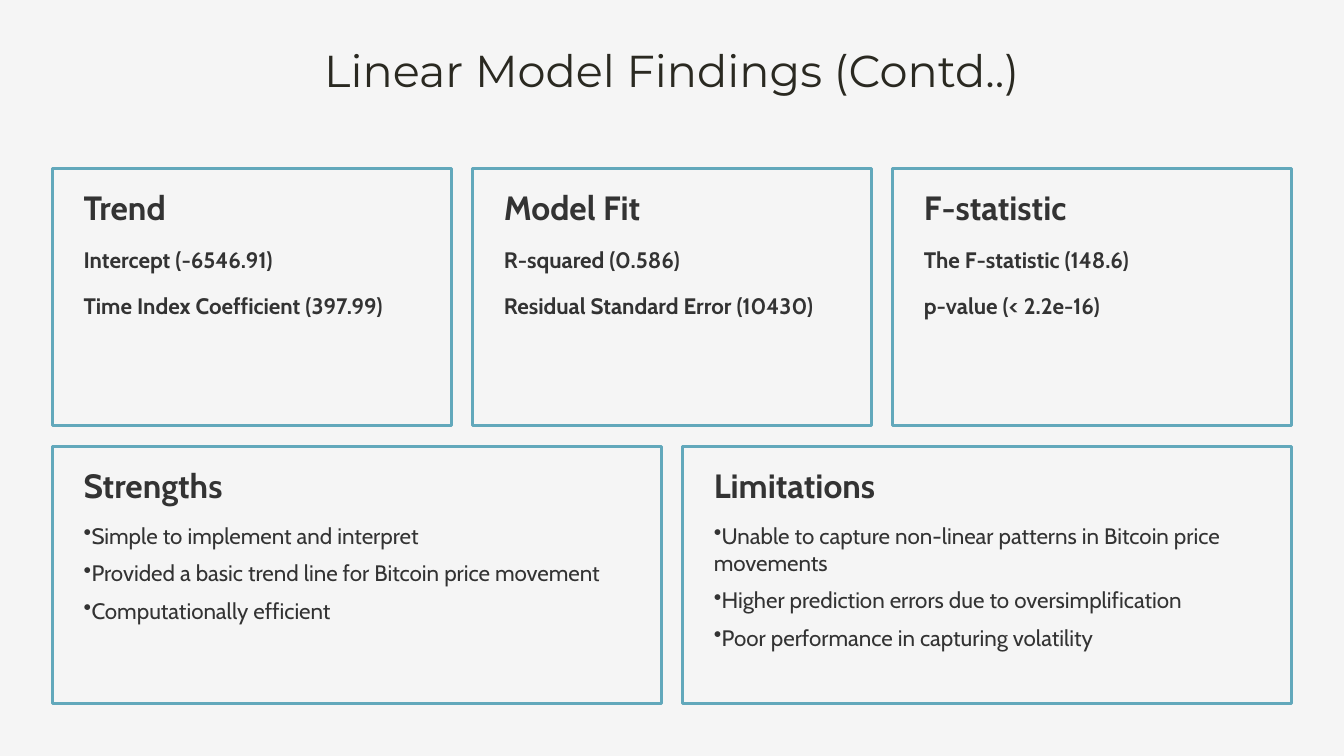
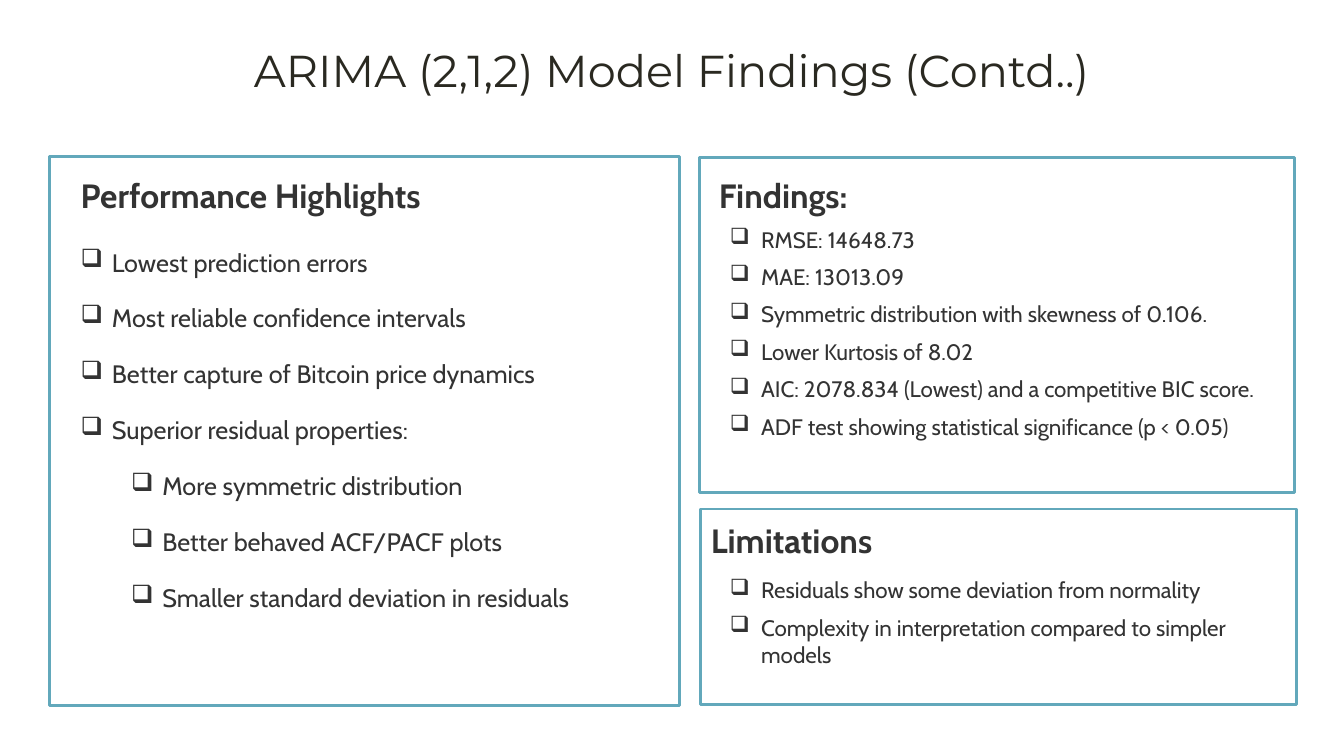
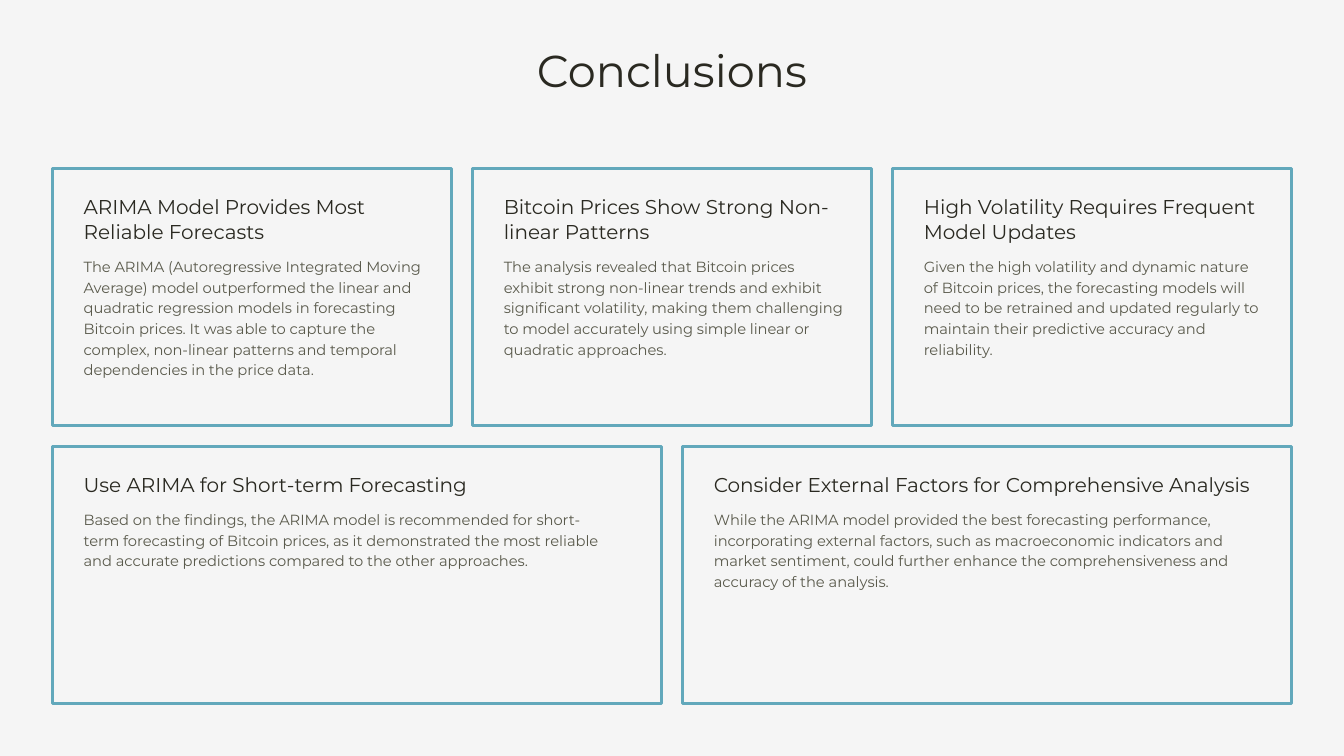
from lxml import etree
from pptx import Presentation
from pptx import util as u
from pptx.dml.color import RGBColor
from pptx.enum import shapes, text
from pptx.oxml import ns

HUES = {"gray": "F5F5F5", "white": "FFFFFF", "edge": "62A8BB",
        "title": "2A2921", "ink": "333333", "soft": "5A5A4C"}

STYLES = {
    "title": ("Montserrat", 31.9, "title", False, u.Pt(40.2), 0, 0),
    "head": ("Cabin", 24, "ink", True, u.Pt(25.7), 0, 0),
    "fact": ("Cabin", 16, "ink", True, u.Pt(21), 11.3, 0),
    "list": ("Cabin", 16, "ink", False, 1.0, 0, 7.5),
    "wide": ("Cabin", 18, "ink", False, 1.5, 0, 7.5),
    "topic": ("Montserrat", 14.3, "title", False, u.Pt(18), 0, 0),
    "prose": ("Montserrat", 10.5, "soft", False, u.Pt(14.7), 0, 0),
}

LEFT, TOP, SPAN, HIGH, GAP, PAD = 0.52, 1.67, 12.29, 2.55, 0.21, 0.31
HANG = 0.31


def grid():
    for row, count in enumerate((3, 2)):
        wide = (SPAN - GAP * (count - 1)) / count
        for col in range(count):
            yield LEFT + col * (wide + GAP), TOP + row * (HIGH + GAP), wide


class Deck:
    def __init__(self):
        self.prs = Presentation()
        self.prs.slide_width = u.Inches(13.33)
        self.prs.slide_height = u.Inches(7.5)
        self.slide = None

    def hue(self, name):
        return RGBColor.from_string(HUES[name])

    def page(self, title, back):
        self.slide = self.prs.slides.add_slide(self.prs.slide_layouts[6])
        fill = self.slide.background.fill
        fill.solid()
        fill.fore_color.rgb = self.hue(back)
        self.label((0, 0.4, 13.33, 0.56), [title], "title",
                   align=text.PP_ALIGN.CENTER)

    def frame(self, *box):
        rect = self.slide.shapes.add_shape(
            shapes.MSO_SHAPE.RECTANGLE, *map(u.Inches, box))
        rect.shadow.inherit = False
        rect.fill.background()
        rect.line.color.rgb = self.hue("edge")
        rect.line.width = u.Pt(2)

    def mark(self, para, sign, hang):
        props = para._p.get_or_add_pPr()
        props.set("marL", str(u.Inches(hang + 0.5 * para.level)))
        props.set("indent", str(-u.Inches(hang)))
        etree.SubElement(props, ns.qn("a:buChar")).set("char", sign)

    def label(self, box, lines, style, sign=None, hang=0, subs=0, align=None):
        font, size, hue, bold, pitch, before, after = STYLES[style]
        frame = self.slide.shapes.add_textbox(*map(u.Inches, box)).text_frame
        frame.word_wrap = True
        frame.margin_left = frame.margin_right = 0
        frame.margin_top = frame.margin_bottom = 0
        for num, line in enumerate(lines):
            para = frame.add_paragraph() if num else frame.paragraphs[0]
            para.text = line
            para.line_spacing = pitch
            para.space_before = u.Pt(before if num else 0)
            para.space_after = u.Pt(after)
            if align is not None:
                para.alignment = align
            if sign:
                para.level = int(num >= len(lines) - subs)
                self.mark(para, sign, hang)
            for run in para.runs:
                run.font.name = font
                run.font.size = u.Pt(size)
                run.font.bold = bold
                run.font.color.rgb = self.hue(hue)

    def save(self):
        self.prs.save("out.pptx")


def linear(deck):
    deck.page("Linear Model Findings (Contd..)", "gray")
    cards = [
        ("Trend", ["Intercept (-6546.91)", "Time Index Coefficient (397.99)"]),
        ("Model Fit", ["R-squared (0.586)", "Residual Standard Error (10430)"]),
        ("F-statistic", ["The F-statistic (148.6)", "p-value (< 2.2e-16)"]),
        ("Strengths", ["Simple to implement and interpret",
                       "Provided a basic trend line for Bitcoin price movement",
                       "Computationally efficient"]),
        ("Limitations", ["Unable to capture non-linear patterns in Bitcoin price movements",
                         "Higher prediction errors due to oversimplification",
                         "Poor performance in capturing volatility"]),
    ]
    for (x, y, wide), (head, lines) in zip(grid(), cards):
        top = y == TOP
        room = 3.78 if top else 6.07
        deck.frame(x, y, wide, HIGH)
        deck.label((x + PAD, y + 0.23, room, 0.36), [head], "head")
        deck.label((x + PAD, y + 0.75, room, 0.29), lines,
                   "fact" if top else "list", sign=None if top else "•")


def arima(deck):
    deck.page("ARIMA (2,1,2) Model Findings (Contd..)", "white")
    cards = [
        ((0.49, 1.55, 6.25, 5.45), "Performance Highlights", (0.8, 1.78, 6.07, 0.36),
         (0.8, 2.3, 6.07, 4.1), "wide", 3,
         ["Lowest prediction errors", "Most reliable confidence intervals",
          "Better capture of Bitcoin price dynamics", "Superior residual properties:",
          "More symmetric distribution", "Better behaved ACF/PACF plots",
          "Smaller standard deviation in residuals"]),
        ((6.94, 1.56, 5.9, 3.33), "Findings:", (7.13, 1.78, 6.07, 0.36),
         (7.24, 2.24, 5.44, 2.55), "list", 0,
         ["RMSE: 14648.73", "MAE: 13013.09",
          "Symmetric distribution with skewness of 0.106.", "Lower Kurtosis of 8.02",
          "AIC: 2078.834 (Lowest) and a competitive BIC score.",
          "ADF test showing statistical significance (p < 0.05)"]),
        ((6.95, 5.05, 5.91, 1.94), "Limitations", (7.05, 5.2, 2.71, 0.36),
         (7.24, 5.72, 5.6, 1.07), "list", 0,
         ["Residuals show some deviation from normality",
          "Complexity in interpretation compared to simpler models"]),
    ]
    for box, head, spot, area, style, subs, lines in cards:
        deck.frame(*box)
        deck.label(spot, [head], "head")
        deck.label(area, lines, style, "❑", HANG, subs)


def ending(deck):
    deck.page("Conclusions", "gray")
    cards = [
        ("ARIMA Model Provides Most Reliable Forecasts", 3.54, 3.54, 6,
         "The ARIMA (Autoregressive Integrated Moving Average) model outperformed "
         "the linear and quadratic regression models in forecasting Bitcoin prices. "
         "It was able to capture the complex, non-linear patterns and temporal "
         "dependencies in the price data."),
        ("Bitcoin Prices Show Strong Non-linear Patterns", 3.78, 3.41, 5,
         "The analysis revealed that Bitcoin prices exhibit strong non-linear trends "
         "and exhibit significant volatility, making them challenging to model "
         "accurately using simple linear or quadratic approaches."),
        ("High Volatility Requires Frequent Model Updates", 3.78, 3.34, 5,
         "Given the high volatility and dynamic nature of Bitcoin prices, the "
         "forecasting models will need to be retrained and updated regularly to "
         "maintain their predictive accuracy and reliability."),
        ("Use ARIMA for Short-term Forecasting", 6.07, 5.23, 3,
         "Based on the findings, the ARIMA model is recommended for short-term "
         "forecasting of Bitcoin prices, as it demonstrated the most reliable and "
         "accurate predictions compared to the other approaches."),
        ("Consider External Factors for Comprehensive Analysis", 5.53, 5.42, 4,
         "While the ARIMA model provided the best forecasting performance, "
         "incorporating external factors, such as macroeconomic indicators and "
         "market sentiment, could further enhance the comprehensiveness and "
         "accuracy of the analysis."),
    ]
    for (x, y, wide), (head, room, width, rows, prose) in zip(grid(), cards):
        tall = 0.5 if y == TOP else 0.25
        deck.frame(x, y, wide, HIGH)
        deck.label((x + PAD, y + 0.25, room, tall), [head], "topic")
        deck.label((x + PAD, y + 0.36 + tall, width, rows * 0.2), [prose], "prose")


def main():
    deck = Deck()
    linear(deck)
    arima(deck)
    ending(deck)
    deck.save()


if __name__ == "__main__":
    main()
